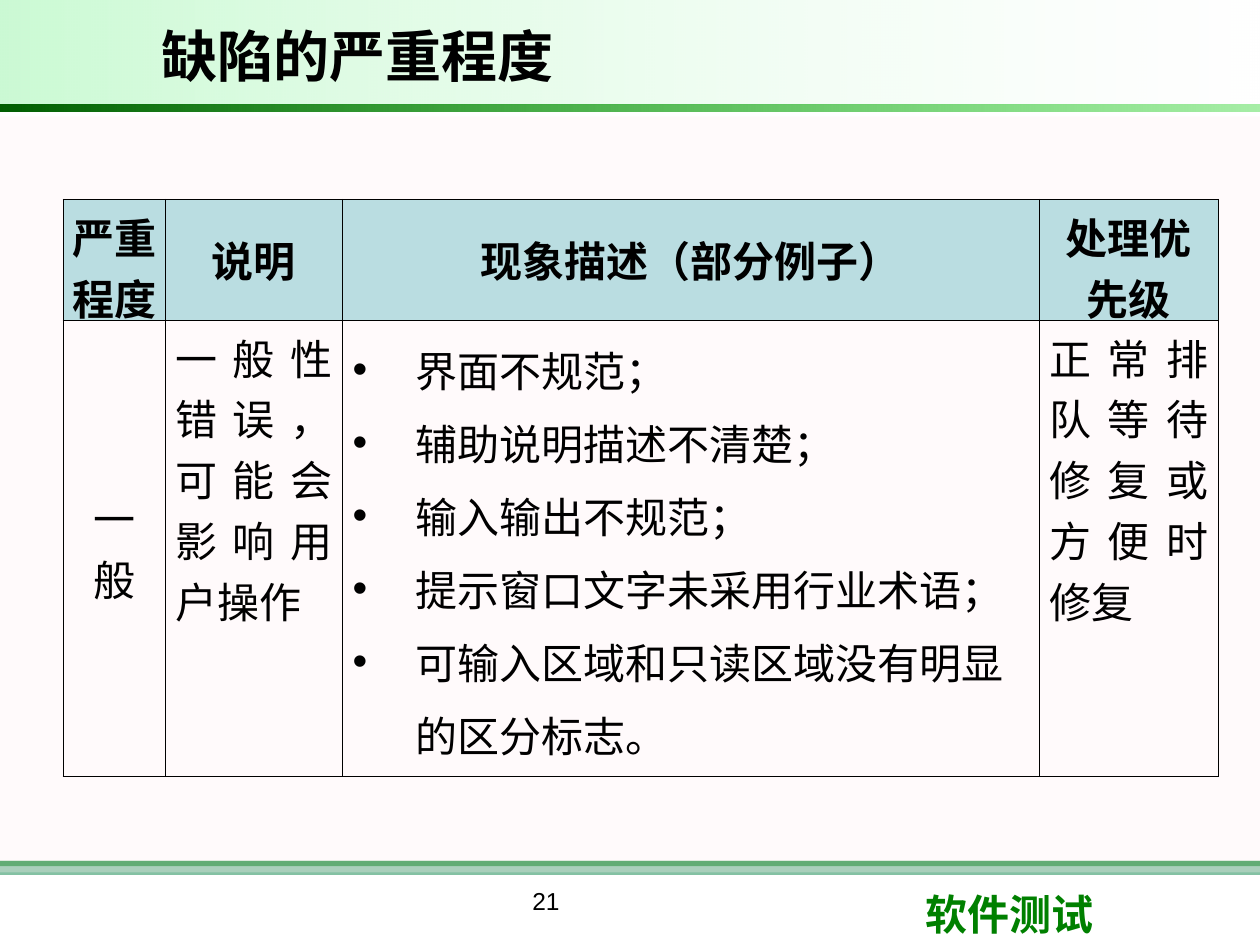
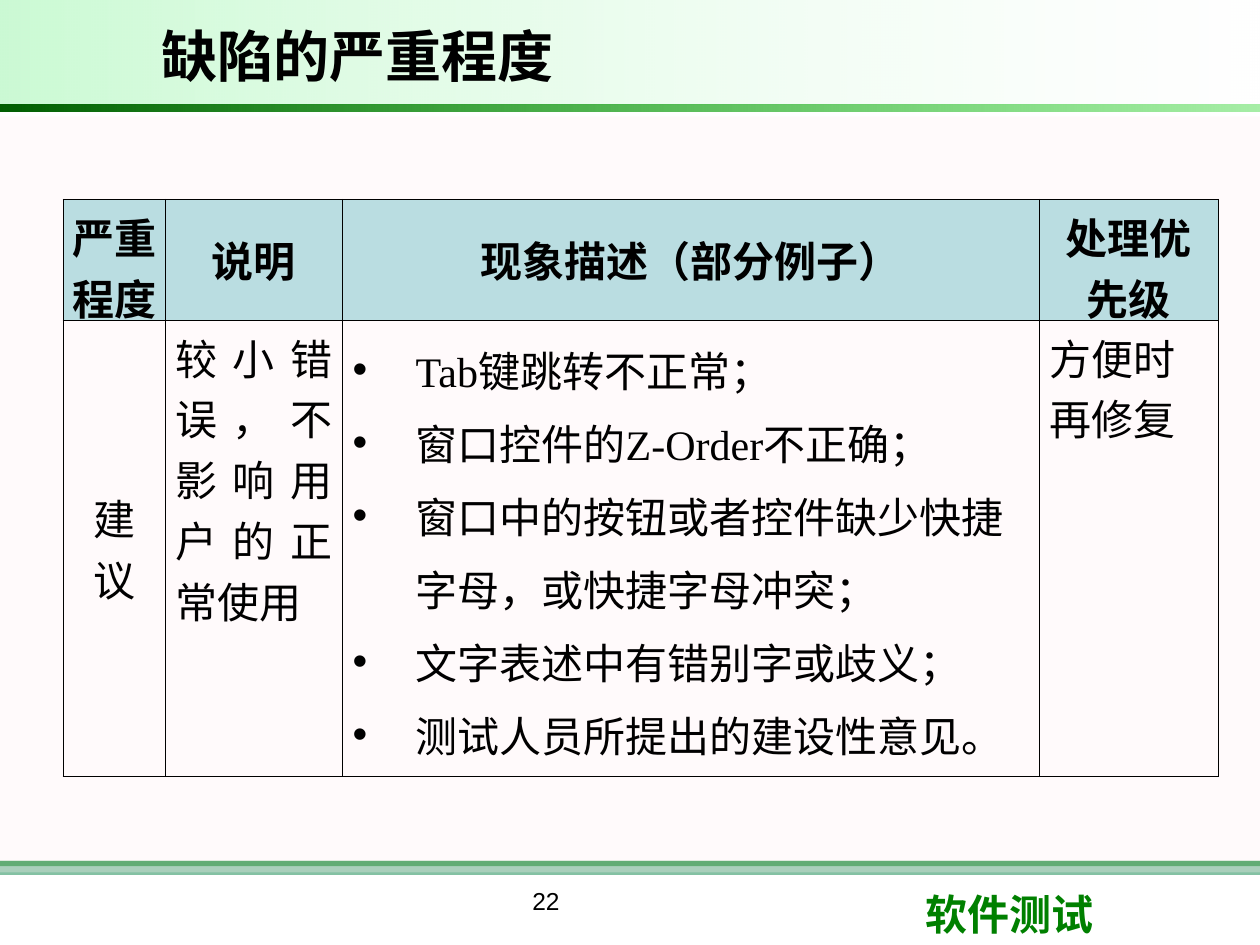
from pptx import Presentation
from pptx.dml.color import RGBColor
from pptx.enum.shapes import MSO_SHAPE
from pptx.enum.text import MSO_ANCHOR, PP_ALIGN
from pptx.oxml import parse_xml
from pptx.oxml.ns import nsdecls, qn
from pptx.oxml.xmlchemy import OxmlElement
from pptx.util import Pt

RECT = MSO_SHAPE.RECTANGLE
TOP, MIDDLE = MSO_ANCHOR.TOP, MSO_ANCHOR.MIDDLE
LEFT, CENTER, JUSTIFY = PP_ALIGN.LEFT, PP_ALIGN.CENTER, PP_ALIGN.JUSTIFY

BLACK = RGBColor(0x00, 0x00, 0x00)
WHITE = RGBColor(0xFF, 0xFF, 0xFF)
GREEN = RGBColor(0x00, 0x80, 0x00)
SEA_GREEN = RGBColor(0x33, 0x99, 0x66)
BRIGHT_GREEN = RGBColor(0x09, 0xE7, 0x33)
LIME = RGBColor(0x00, 0xCC, 0x00)
DARK_GREEN = RGBColor(0x00, 0x5E, 0x00)
BLUSH = RGBColor(0xFF, 0xF0, 0xF5)
HEADER_BLUE = RGBColor(0xBA, 0xDD, 0xE1)

SLIDE_WIDTH, SLIDE_HEIGHT = 720, 540
COLUMN_WIDTHS = [58.3, 101.5, 398.2, 102.2]
HEADER_HEIGHT, BODY_HEIGHT = 69.1, 260.6
HEADINGS = ["严重程度", "说明", "现象描述（部分例子）", "处理优先级"]
BULLET_INDENT = 36

# Number, severity, explanation, examples, priority, alignment of the priority
SEVERITIES = [
    (21, "一般", "一般性错误，可能会影响用户操作",
     ["界面不规范；", "辅助说明描述不清楚；", "输入输出不规范；",
      "提示窗口文字未采用行业术语；",
      "可输入区域和只读区域没有明显的区分标志。"],
     "正常排队等待修复或方便时修复", JUSTIFY),
    (22, "建议", "较小错误，不影响用户的正常使用",
     ["Tab键跳转不正常；", "窗口控件的Z-Order不正确；",
      "窗口中的按钮或者控件缺少快捷字母，或快捷字母冲突；",
      "文字表述中有错别字或歧义；", "测试人员所提出的建设性意见。"],
     "方便时再修复", LEFT),
]


def add_bullet(paragraph):
    properties = paragraph._p.get_or_add_pPr()
    properties.set("marL", str(Pt(BULLET_INDENT)))
    properties.set("indent", str(-Pt(BULLET_INDENT)))
    properties.append(parse_xml(f'<a:buFont {nsdecls("a")} typeface="Arial"/>'))
    properties.append(parse_xml(f'<a:buChar {nsdecls("a")} char="•"/>'))


def write_text(frame, lines, font="Times New Roman", size=24, color=BLACK,
               bold=False, align=LEFT, spacing=None, bullets=False):
    frame.word_wrap = True
    for index, line in enumerate(lines):
        paragraph = frame.paragraphs[0] if index == 0 else frame.add_paragraph()
        paragraph.alignment = align
        if spacing:
            paragraph.line_spacing = spacing
        if bullets:
            add_bullet(paragraph)
        run = paragraph.add_run()
        run.text = line
        run.font.name = font
        run.font.size = Pt(size)
        run.font.bold = bold
        run.font.color.rgb = color


def set_opacity(color_element, percent):
    alpha = OxmlElement("a:alpha")
    alpha.set("val", str(percent * 1000))
    color_element.append(alpha)


def add_borders(cell):
    properties = cell._tc.get_or_add_tcPr()
    for side in "LRTB":
        properties.append(parse_xml(
            f'<a:ln{side} {nsdecls("a")} w="{Pt(0.45)}"><a:solidFill>'
            f'<a:srgbClr val="{BLACK}"/></a:solidFill></a:ln{side}>'))


class Deck:
    def __init__(self):
        self.presentation = Presentation()
        self.presentation.slide_width = Pt(SLIDE_WIDTH)
        self.presentation.slide_height = Pt(SLIDE_HEIGHT)
        self.slide = None

    def band(self, top, height, *stops):
        """Full-width band; stops are (colour, opacity) from left to right."""
        shape = self.slide.shapes.add_shape(
            RECT, 0, Pt(top), Pt(SLIDE_WIDTH), Pt(height))
        shape.shadow.inherit = False
        shape.line.fill.background()
        if len(stops) == 1:
            shape.fill.solid()
            shape.fill.fore_color.rgb = stops[0][0]
        else:
            shape.fill.gradient()
            shape.fill.gradient_angle = 0
            for stop, (color, _) in zip(shape.fill.gradient_stops, stops):
                stop.color.rgb = color
        color_elements = shape._element.spPr.iter(qn("a:srgbClr"))
        for element, (_, opacity) in zip(list(color_elements), stops):
            set_opacity(element, opacity)

    def label(self, text, left, top, width, height, anchor=TOP, **style):
        box = self.slide.shapes.add_textbox(
            Pt(left), Pt(top), Pt(width), Pt(height))
        box.text_frame.vertical_anchor = anchor
        write_text(box.text_frame, [text], **style)

    def cell(self, cell, lines, inset=5.8, anchor=TOP, fill=None, **style):
        cell.margin_left = cell.margin_right = Pt(inset)
        cell.margin_top = cell.margin_bottom = Pt(3.6)
        cell.vertical_anchor = anchor
        add_borders(cell)
        if fill is None:
            cell.fill.background()
        else:
            cell.fill.solid()
            cell.fill.fore_color.rgb = fill
        write_text(cell.text_frame, lines, **style)

    def severity_table(self, severity, explanation, examples, priority,
                       priority_align):
        table = self.slide.shapes.add_table(
            2, len(HEADINGS), Pt(36), Pt(113.8), Pt(sum(COLUMN_WIDTHS)),
            Pt(HEADER_HEIGHT + BODY_HEIGHT)).table
        table.first_row = table.horz_banding = False
        table.rows[0].height = Pt(HEADER_HEIGHT)
        table.rows[1].height = Pt(BODY_HEIGHT)
        for column, width in enumerate(COLUMN_WIDTHS):
            table.columns[column].width = Pt(width)
            self.cell(table.cell(0, column), [HEADINGS[column]], inset=4.3,
                      anchor=MIDDLE, fill=HEADER_BLUE, bold=True, align=CENTER)
        self.cell(table.cell(1, 0), [severity], anchor=MIDDLE, align=CENTER)
        self.cell(table.cell(1, 1), [explanation], align=JUSTIFY)
        self.cell(table.cell(1, 2), examples, spacing=1.2, bullets=True)
        self.cell(table.cell(1, 3), [priority], align=priority_align)

    def new_slide(self, title, number):
        self.slide = self.presentation.slides.add_slide(
            self.presentation.slide_layouts[6])
        # Footer rules and body background
        self.band(492, 3, (GREEN, 100))
        self.band(492, 8, (SEA_GREEN, 60))
        self.band(66.5, 432, (BLUSH, 30))
        self.label("软件测试", 522, 504, 170.5, 36, font="Calibri",
                   color=GREEN, bold=True)
        # Title band
        self.band(0, 59.5, (BRIGHT_GREEN, 21), (WHITE, 10))
        self.band(59.5, 4, (DARK_GREEN, 100), (LIME, 35))
        self.label(title, 85, 6, 502, 51, anchor=MIDDLE, font="Arial",
                   size=32, bold=True)
        # Slide number
        self.label(str(number), 198, 502.5, 228, 37.5, font="Arial",
                   size=14, align=CENTER)


def main():
    deck = Deck()
    for number, *row in SEVERITIES:
        deck.new_slide("缺陷的严重程度", number)
        deck.severity_table(*row)
    deck.presentation.save("out.pptx")


if __name__ == "__main__":
    main()
